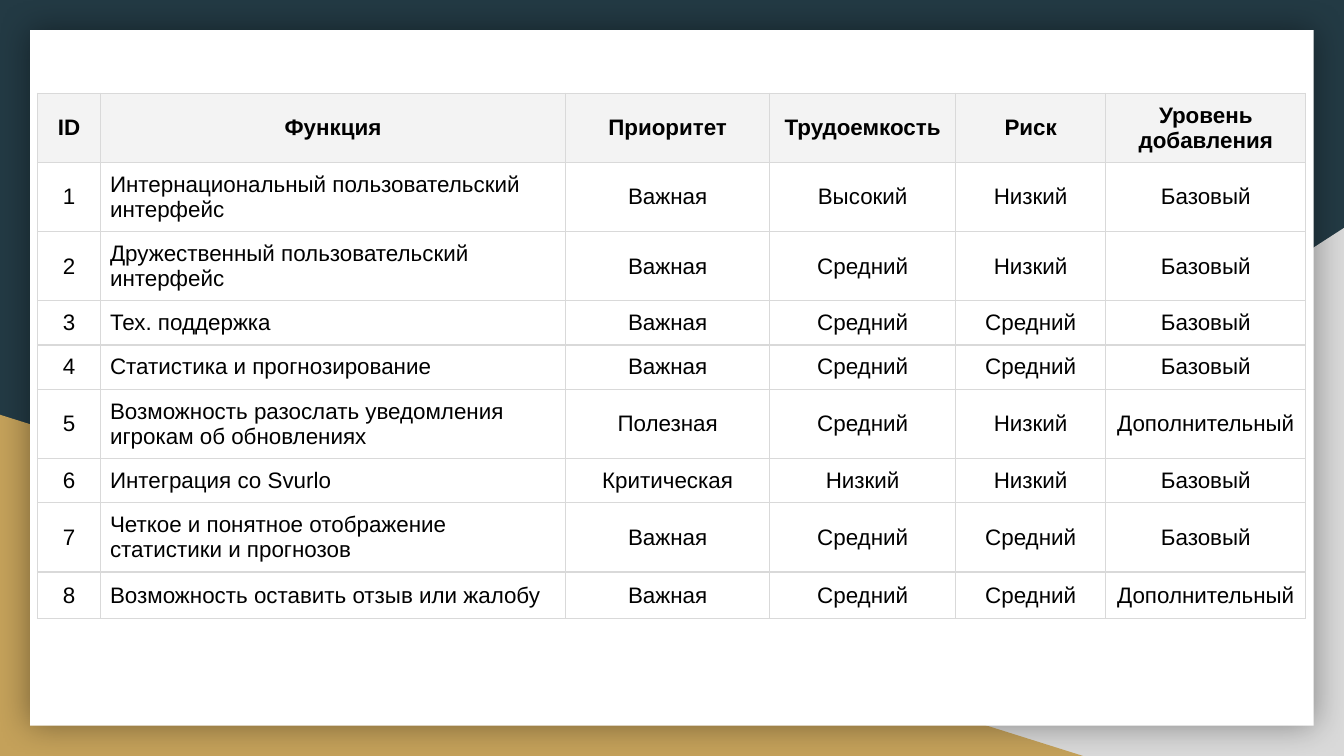
from lxml.etree import SubElement
from pptx import Presentation
from pptx.dml.color import RGBColor
from pptx.enum.shapes import MSO_SHAPE
from pptx.enum.text import MSO_ANCHOR, PP_ALIGN
from pptx.oxml import parse_xml
from pptx.oxml.ns import nsdecls, qn
from pptx.util import Cm, Pt

HEADERS = ["ID", "Функция", "Приоритет", "Трудоемкость", "Риск", "Уровень добавления"]
FEATURES = [
    ("Интернациональный пользовательский интерфейс", "Важная", "Высокий", "Низкий", "Базовый"),
    ("Дружественный пользовательский интерфейс", "Важная", "Средний", "Низкий", "Базовый"),
    ("Тех. поддержка", "Важная", "Средний", "Средний", "Базовый"),
    ("Статистика и прогнозирование", "Важная", "Средний", "Средний", "Базовый"),
    ("Возможность разослать уведомления игрокам об обновлениях",
     "Полезная", "Средний", "Низкий", "Дополнительный"),
    ("Интеграция со Svurlo", "Критическая", "Низкий", "Низкий", "Базовый"),
    ("Четкое и понятное отображение статистики и прогнозов",
     "Важная", "Средний", "Средний", "Базовый"),
    ("Возможность оставить отзыв или жалобу", "Важная", "Средний", "Средний", "Дополнительный"),
]
COLORS = {
    "background": "233A44", "grey": "D9D9D9", "gold": "C4A15A", "panel": "FFFFFF",
    "header": "F3F3F3", "border": "D9D9D9", "text": "000000", "shadow": "000000",
}
SLIDE_WIDTH, SLIDE_HEIGHT = 25.4, 14.29
MARGIN = 0.57
TABLE_LEFT, TABLE_TOP = 0.71, 1.76
COLUMN_WIDTHS = [1.19, 8.79, 3.86, 3.51, 2.84, 3.78]
TALL, SHORT, LAST = 1.3, 0.83, 0.88
ROW_HEIGHTS = [TALL, TALL, TALL, SHORT, SHORT, TALL, SHORT, TALL, LAST]
FEATURE_COLUMN = 1


def color(name):
    return RGBColor.from_string(COLORS[name])


def add_block(slide, kind, left, top, width, height, fill):
    shape = slide.shapes.add_shape(kind, Cm(left), Cm(top), Cm(width), Cm(height))
    shape.shadow.inherit = False
    shape.fill.solid()
    shape.fill.fore_color.rgb = color(fill)
    shape.line.fill.background()
    return shape


def add_corner(slide, width, height, fill, on_right=False):
    left = SLIDE_WIDTH - width if on_right else 0
    shape = add_block(slide, MSO_SHAPE.RIGHT_TRIANGLE, left, SLIDE_HEIGHT - height,
                      width, height, fill)
    if on_right:
        shape._element.spPr.find(qn("a:xfrm")).set("flipH", "1")


def add_glow_shadow(shape):
    effects = shape._element.spPr.find(qn("a:effectLst"))
    shadow = SubElement(effects, qn("a:outerShdw"), blurRad=str(Pt(18)), dist="0",
                        dir="0", algn="ctr", rotWithShape="0")
    tint = SubElement(shadow, qn("a:srgbClr"), val=COLORS["shadow"])
    SubElement(tint, qn("a:alpha"), val="40000")


def add_borders(cell):
    properties = cell._tc.get_or_add_tcPr()
    for position, side in enumerate(("lnL", "lnR", "lnT", "lnB")):
        properties.insert(position, parse_xml(
            f'<a:{side} {nsdecls("a")} w="{Pt(0.75)}"><a:solidFill>'
            f'<a:srgbClr val="{COLORS["border"]}"/></a:solidFill></a:{side}>'))


def format_cell(cell, text, is_header, is_feature):
    inset = Cm(0.18 if is_header or is_feature else 0.15)
    cell.text = text
    cell.vertical_anchor = MSO_ANCHOR.MIDDLE
    for side in ("left", "right", "top", "bottom"):
        setattr(cell, f"margin_{side}", inset)
    if is_header:
        cell.fill.solid()
        cell.fill.fore_color.rgb = color("header")
    else:
        cell.fill.background()
    add_borders(cell)
    paragraph = cell.text_frame.paragraphs[0]
    paragraph.alignment = PP_ALIGN.LEFT if is_feature and not is_header else PP_ALIGN.CENTER
    font = paragraph.runs[0].font
    for name, value in {"size": Pt(12), "name": "Arial", "bold": is_header}.items():
        setattr(font, name, value)
    font.color.rgb = color("text")


def add_feature_table(slide):
    rows = [HEADERS] + [(str(number), *feature) for number, feature in enumerate(FEATURES, 1)]
    table = slide.shapes.add_table(
        len(rows), len(HEADERS), Cm(TABLE_LEFT), Cm(TABLE_TOP),
        Cm(sum(COLUMN_WIDTHS)), Cm(sum(ROW_HEIGHTS))).table
    table.first_row = table.horz_banding = False
    for column, width in zip(table.columns, COLUMN_WIDTHS):
        column.width = Cm(width)
    for row, height in zip(table.rows, ROW_HEIGHTS):
        row.height = Cm(height)
    for row_index, row in enumerate(rows):
        for column_index, text in enumerate(row):
            format_cell(table.cell(row_index, column_index), text,
                        row_index == 0, column_index == FEATURE_COLUMN)


def main():
    presentation = Presentation()
    presentation.slide_width, presentation.slide_height = Cm(SLIDE_WIDTH), Cm(SLIDE_HEIGHT)
    slide = presentation.slides.add_slide(presentation.slide_layouts[6])
    slide.background.fill.solid()
    slide.background.fill.fore_color.rgb = color("background")
    add_corner(slide, 15.44, 9.98, "grey", on_right=True)
    add_corner(slide, 20.47, 6.45, "gold")
    panel = add_block(slide, MSO_SHAPE.RECTANGLE, MARGIN, MARGIN, SLIDE_WIDTH - 2 * MARGIN,
                      SLIDE_HEIGHT - 2 * MARGIN, "panel")
    add_glow_shadow(panel)
    add_feature_table(slide)
    presentation.save("out.pptx")


if __name__ == "__main__":
    main()
